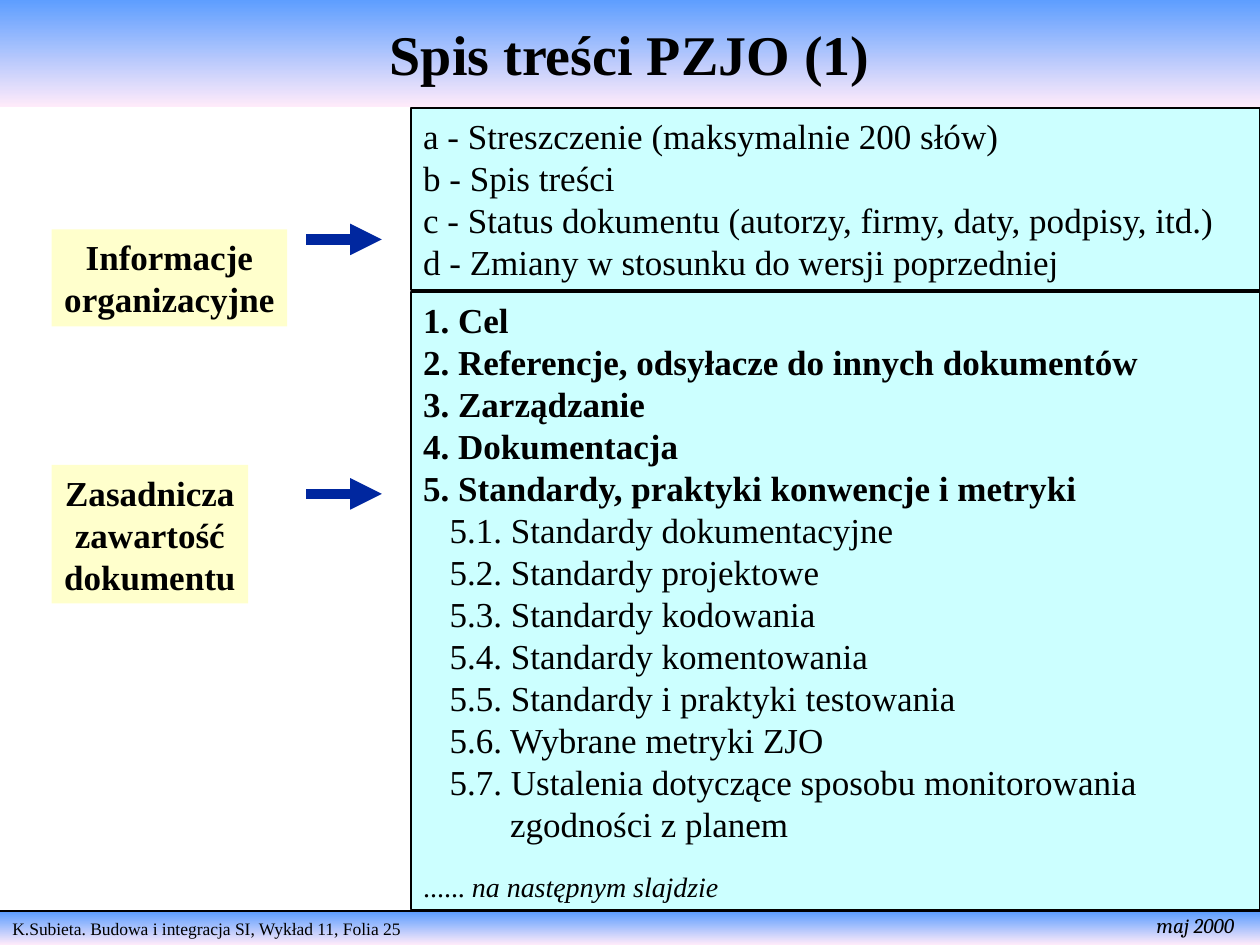
from dataclasses import dataclass

from lxml import etree
from pptx import Presentation
from pptx.dml.color import RGBColor
from pptx.enum.shapes import MSO_CONNECTOR, MSO_SHAPE
from pptx.enum.text import MSO_ANCHOR, PP_ALIGN
from pptx.oxml.ns import qn
from pptx.util import Inches, Pt

RECT, STRAIGHT = MSO_SHAPE.RECTANGLE, MSO_CONNECTOR.STRAIGHT
TOP, MIDDLE = MSO_ANCHOR.TOP, MSO_ANCHOR.MIDDLE
LEFT, CENTER = PP_ALIGN.LEFT, PP_ALIGN.CENTER


@dataclass(frozen=True)
class Theme:
    font: str = "Times New Roman"
    date_font: str = "Cambria"
    ink: str = "000000"
    panel: str = "CCFFFF"
    label: str = "FFFFCC"
    arrow: str = "00279F"
    band: tuple[str, str] = ("5E9EFF", "FFEBFA")
    title: int = 32
    body: int = 20
    note: int = 16
    date: int = 12
    footer: int = 10
    leading: float = 1.2


@dataclass(frozen=True)
class Box:
    left: float
    top: float
    width: float
    height: float


@dataclass(frozen=True)
class Line:
    text: str
    bold: bool = False
    indent: float = 0
    hanging: float = 0


T = Theme()


def rgb(value: str) -> RGBColor:
    return RGBColor.from_string(value)


def add_rect(s, box: Box):
    sp = s.shapes.add_shape(RECT, Inches(box.left), Inches(box.top),
                            Inches(box.width), Inches(box.height))
    sp.shadow.inherit = False
    sp.line.fill.background()
    sp.text_frame.vertical_anchor = TOP
    return sp


def style(r, size: int, bold: bool = False, italic: bool = False, font: str = T.font) -> None:
    r.font.name = font
    r.font.size = Pt(size)
    r.font.bold = bold
    r.font.italic = italic
    r.font.color.rgb = rgb(T.ink)


def add_band(s, box: Box, text: str, size: int, bold: bool = False, align=LEFT, anchor=TOP) -> None:
    sp = add_rect(s, box)
    sp.fill.gradient()
    sp.fill.gradient_angle = 270
    for stop, color in zip(sp.fill.gradient_stops, T.band):
        stop.color.rgb = rgb(color)
    tf = sp.text_frame
    tf.text = text
    tf.vertical_anchor = anchor
    p = tf.paragraphs[0]
    p.alignment = align
    style(p.runs[0], size, bold)


def add_lines(s, box: Box, fill: str, lines: list[Line], align=LEFT,
              outlined: bool = False, wrap: bool = True):
    sp = add_rect(s, box)
    sp.fill.solid()
    sp.fill.fore_color.rgb = rgb(fill)
    if outlined:
        sp.line.color.rgb = rgb(T.ink)
        sp.line.width = Pt(1)
    tf = sp.text_frame
    tf.word_wrap = wrap
    tf.text = "\n".join(line.text for line in lines)
    for p, line in zip(tf.paragraphs, lines):
        p.alignment = align
        p.line_spacing = Pt(T.body * T.leading)
        if line.indent:
            pPr = p._p.get_or_add_pPr()
            pPr.set("marL", str(Inches(line.indent + line.hanging)))
            pPr.set("indent", str(-Inches(line.hanging)))
        style(p.runs[0], T.body, line.bold)
    return tf


def add_line(s, x1: float, x2: float, y: float, color: str, width: float, arrow: bool = False) -> None:
    c = s.shapes.add_connector(STRAIGHT, Inches(x1), Inches(y), Inches(x2), Inches(y))
    c.line.color.rgb = rgb(color)
    c.line.width = Pt(width)
    if arrow:
        etree.SubElement(c.line._get_or_add_ln(), qn("a:tailEnd"), type="triangle")
    etree.SubElement(c._element.spPr, qn("a:effectLst"))


def add_date(s, box: Box, text: str) -> None:
    tb = s.shapes.add_textbox(Inches(box.left), Inches(box.top),
                              Inches(box.width), Inches(box.height))
    tb.text_frame.text = text
    style(tb.text_frame.paragraphs[0].runs[0], T.date, italic=True, font=T.date_font)


def add_note(tf, dots: str, text: str) -> None:
    p = tf.add_paragraph()
    p.alignment = LEFT
    p.line_spacing = Pt(T.note * T.leading)
    p.space_before = Pt(14.4)
    for part, italic in ((dots, False), (text, True)):
        r = p.add_run()
        r.text = part
        style(r, T.note, italic=italic)


ORGANIZATION = [
    "a - Streszczenie (maksymalnie 200 słów)",
    "b - Spis treści",
    "c - Status dokumentu (autorzy, firmy, daty, podpisy, itd.)",
    "d - Zmiany w stosunku do wersji poprzedniej",
]
CHAPTERS = [
    "Cel",
    "Referencje, odsyłacze do innych dokumentów",
    "Zarządzanie",
    "Dokumentacja",
    "Standardy, praktyki konwencje i metryki",
]
STANDARDS = [
    "Standardy dokumentacyjne",
    "Standardy projektowe",
    "Standardy kodowania",
    "Standardy komentowania",
    "Standardy i praktyki testowania",
    "Wybrane metryki ZJO",
    "Ustalenia dotyczące sposobu monitorowania zgodności z planem",
]
LABELS = [
    (Box(0.41, 1.82, 1.87, 0.77), ["Informacje", "organizacyjne"], 1.9),
    (Box(0.41, 3.69, 1.56, 1.1), ["Zasadnicza", "zawartość", "dokumentu"], 3.92),
]


def main() -> None:
    prs = Presentation()
    prs.slide_width, prs.slide_height = Inches(10), Inches(7.5)
    s = prs.slides.add_slide(prs.slide_layouts[6])

    add_band(s, Box(0, 7.24, 10, 0.26),
             "K.Subieta. Budowa i integracja SI, Wykład 11, Folia 25", T.footer)
    add_line(s, 0, 10, 7.23, T.ink, 1)
    add_date(s, Box(9.08, 7.19, 0.82, 0.3), "maj 2000")
    add_band(s, Box(0, 0, 10, 0.85), "Spis treści PZJO (1)", T.title, True, CENTER, MIDDLE)

    add_lines(s, Box(3.26, 0.86, 6.74, 1.44), T.panel,
              [Line(text) for text in ORGANIZATION], outlined=True)
    contents = [Line(f"{i}. {text}", bold=True) for i, text in enumerate(CHAPTERS, 1)]
    contents += [Line(f"{len(CHAPTERS)}.{i}. {text}", indent=0.21, hanging=0.48)
                 for i, text in enumerate(STANDARDS, 1)]
    tf = add_lines(s, Box(3.26, 2.32, 6.74, 4.9), T.panel, contents, outlined=True)
    add_note(tf, "...... ", "na następnym slajdzie")

    for box, words, arrow_y in LABELS:
        add_lines(s, box, T.label, [Line(word, bold=True) for word in words], CENTER, wrap=False)
        add_line(s, 2.43, 3.03, arrow_y, T.arrow, 6, arrow=True)

    prs.save("out.pptx")


if __name__ == "__main__":
    main()
